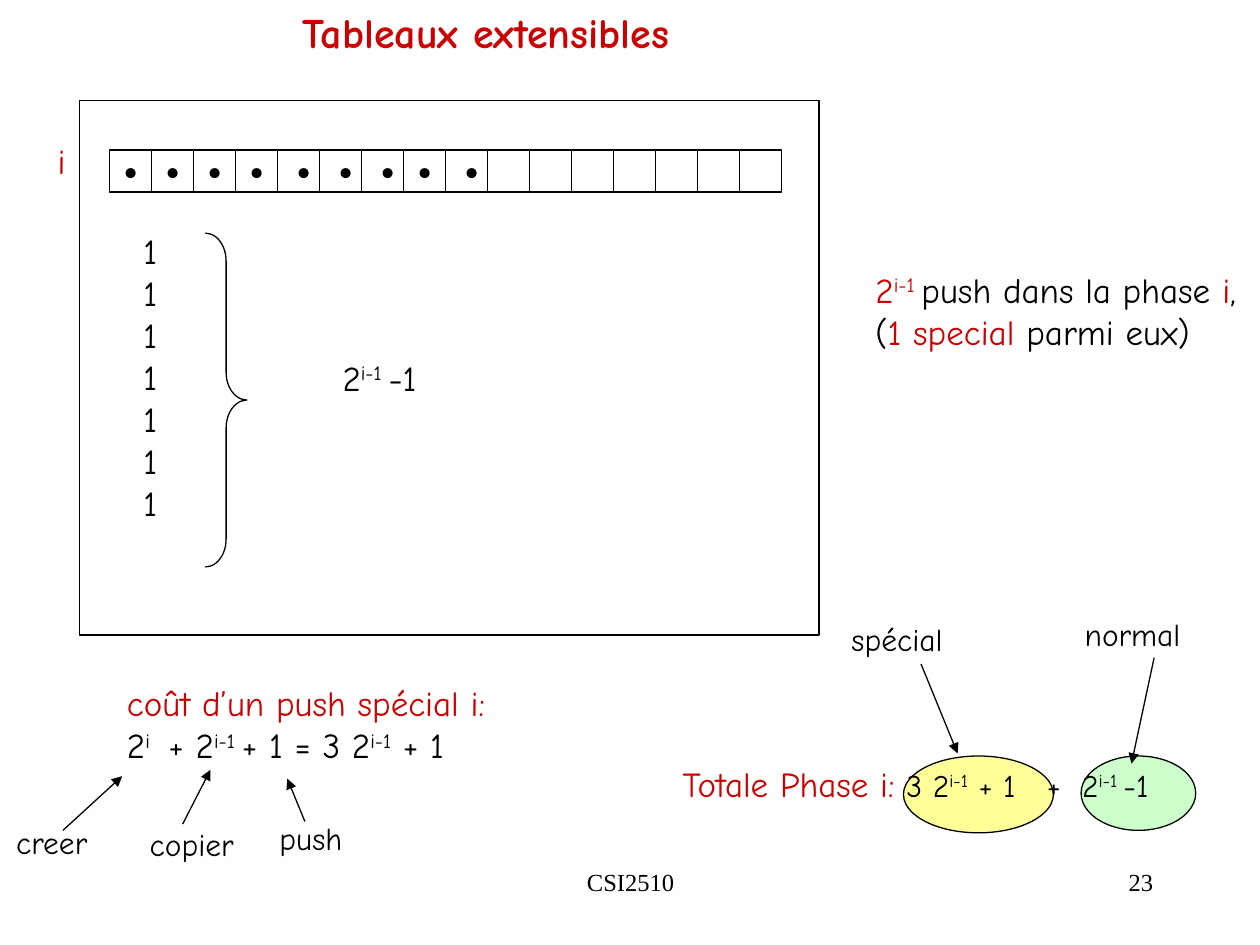
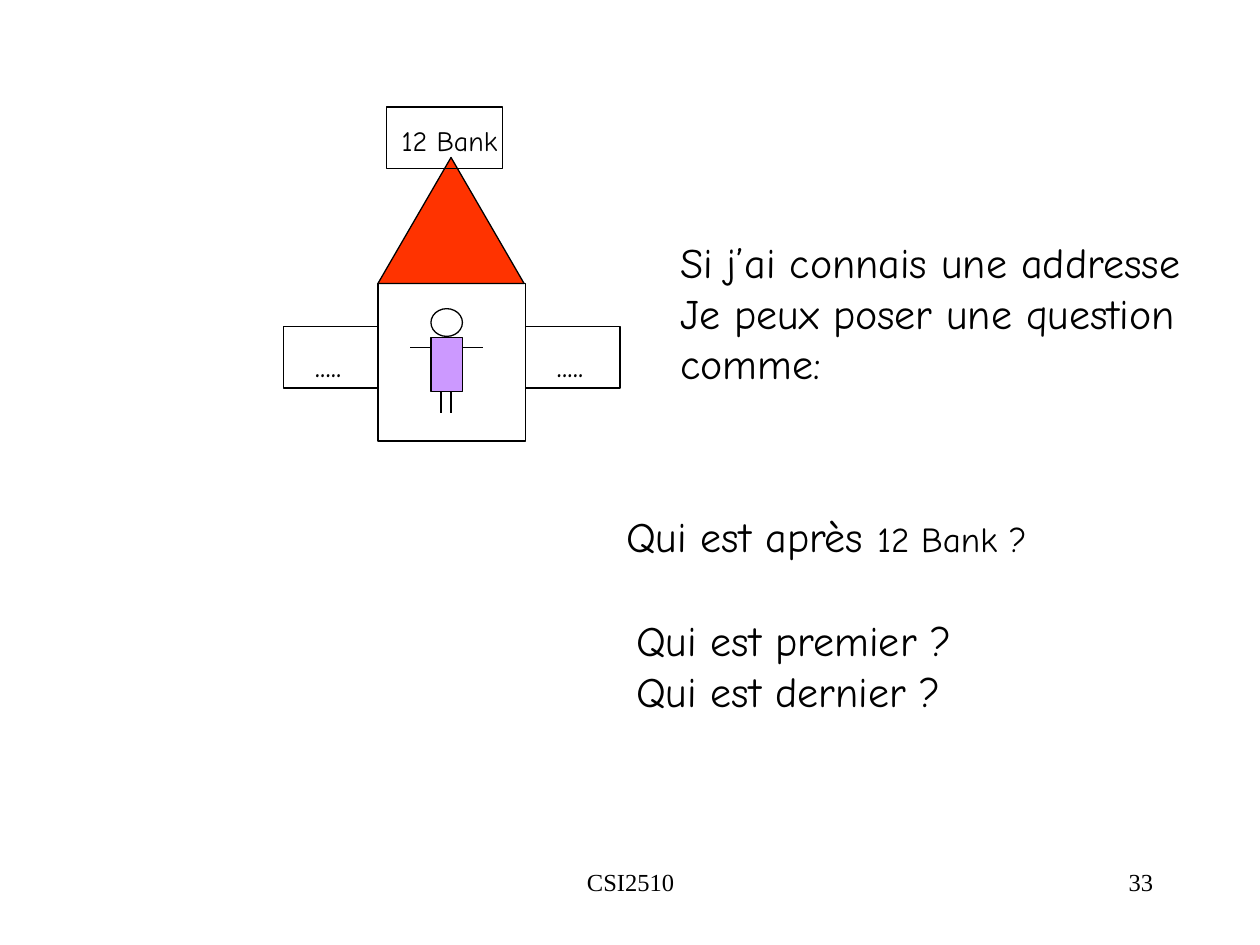
from dataclasses import dataclass
from typing import Optional

from lxml import etree
from pptx import Presentation
from pptx import util as u
from pptx.dml import color as colors
from pptx.enum import shapes as kinds
from pptx.enum import text as styles
from pptx.oxml import ns


@dataclass(frozen=True)
class Theme:
    black: str = "000000"
    white: str = "FFFFFF"
    red: str = "CC0000"
    yellow: str = "FFFF99"
    green: str = "CCFFCC"
    roof: str = "FF3300"
    purple: str = "CC99FF"
    body_font: str = "Comic Neue"
    footer_font: str = "Times New Roman"
    title_size: int = 24
    body_size: int = 20
    note_size: int = 18
    sign_size: int = 16
    footer_size: int = 14
    line_width: float = 0.75


THEME = Theme()
KIND = kinds.MSO_SHAPE
ALIGN = styles.PP_ALIGN


@dataclass(frozen=True)
class Part:
    """A stretch of text with its own colour, size or raised position."""
    text: str
    color: Optional[str] = None
    size: Optional[int] = None
    raised: bool = False


def red(words):
    return Part(words, THEME.red)


def power(words, color=None):
    return Part(words, color, raised=True)


def rgb(color):
    return colors.RGBColor.from_string(color)


# ---- Text ----

def style_font(font, size, color, name=THEME.body_font, bold=False):
    font.name = name
    font.size = u.Pt(size)
    font.bold = bold
    font.color.rgb = rgb(color)


def write_line(paragraph, parts, size, color, bold):
    for part in [parts] if isinstance(parts, (str, Part)) else parts:
        part = Part(part) if isinstance(part, str) else part
        run = paragraph.add_run()
        run.text = part.text
        style_font(run.font, part.size or size, part.color or color, bold=bold)
        if part.raised:
            run.font._element.set("baseline", "30000")


def add_label(shapes, at, *lines, size=THEME.body_size, color=THEME.black,
              bold=False, wrap=False):
    """Each line is a string, a Part, or a list of them."""
    label = shapes.add_textbox(*map(u.Inches, at))
    frame = label.text_frame
    frame.word_wrap = wrap
    frame.auto_size = styles.MSO_AUTO_SIZE.SHAPE_TO_FIT_TEXT
    for index, line in enumerate(lines):
        paragraph = frame.add_paragraph() if index else frame.paragraphs[0]
        write_line(paragraph, line, size, color, bold)
    return label


def set_tab_stops(paragraph, stops):
    tabs = etree.SubElement(paragraph._p.get_or_add_pPr(), ns.qn("a:tabLst"))
    for stop in stops:
        etree.SubElement(tabs, ns.qn("a:tab"), pos=str(u.Inches(stop)),
                         algn="l")


def add_footer(slide, number):
    for at, words, align in (
        ((3.42, 6.83, 3.17, 0.5), "CSI2510", ALIGN.CENTER),
        ((7.17, 6.83, 2.08, 0.5), str(number), ALIGN.RIGHT),
    ):
        frame = slide.shapes.add_textbox(*map(u.Inches, at)).text_frame
        frame.word_wrap = True
        frame.text = words
        paragraph = frame.paragraphs[0]
        paragraph.alignment = align
        style_font(paragraph.runs[0].font, THEME.footer_size, THEME.black,
                   THEME.footer_font)


# ---- Shapes and lines ----

def outline(line):
    line.color.rgb = rgb(THEME.black)
    line.width = u.Pt(THEME.line_width)


def add_figure(shapes, kind, at, fill=None):
    figure = shapes.add_shape(kind, *map(u.Inches, at))
    figure.shadow.inherit = False
    outline(figure.line)
    if fill:
        figure.fill.solid()
        figure.fill.fore_color.rgb = rgb(fill)
    else:
        figure.fill.background()
    return figure


def add_line(shapes, start, end, arrow=False):
    connector = shapes.add_connector(kinds.MSO_CONNECTOR.STRAIGHT,
                                     *map(u.Inches, start + end))
    outline(connector.line)
    if arrow:
        etree.SubElement(connector.line._get_or_add_ln(), ns.qn("a:tailEnd"),
                         type="triangle")
    etree.SubElement(connector._element.spPr, ns.qn("a:effectLst"))


def add_pointer(shapes, words, at, start, end):
    """A short note with an arrow to the term it explains."""
    add_label(shapes, at, words, size=THEME.note_size, wrap=True)
    add_line(shapes, start, end, arrow=True)


def add_cell(shapes, index, size=1 / 3):
    """One array slot; the first nine hold a dot, some slightly to the right."""
    cell = add_figure(shapes, KIND.RECTANGLE,
                      (0.87 + index * size, 1.19, size, size), THEME.white)
    if index > 8:
        return
    frame = cell.text_frame
    frame.word_wrap = False
    frame.vertical_anchor = styles.MSO_ANCHOR.MIDDLE
    frame.margin_left = u.Inches(0.08 if index in (4, 5, 6, 8) else 0)
    frame.margin_right = 0
    frame.text = "•"
    dot = frame.paragraphs[0]
    dot.alignment = ALIGN.CENTER
    style_font(dot.runs[0].font, THEME.title_size, THEME.black,
               THEME.footer_font)


# ---- Slides ----

def build_array_slide(slide):
    shapes = slide.shapes
    add_footer(slide, 23)

    # Array of phase i and its ordinary pushes
    add_label(shapes, (2.62, 2.78, 0.79, 0.44), ["2", power("i-1 "), "-1"])
    for index in range(16):
        add_cell(shapes, index)
    add_label(shapes, (1.04, 1.77, 0.31, 2.44), *["1"] * 7)
    brace = add_figure(shapes, KIND.RIGHT_BRACE, (1.63, 1.85, 0.33, 2.65))
    brace.adjustments[0] = 0.67
    add_label(shapes, (0.36, 1.06, 0.33, 0.44), red("i"), wrap=True)
    add_figure(shapes, KIND.RECTANGLE, (0.63, 0.8, 5.87, 4.24))
    add_label(shapes, (6.85, 2.08, 3.06, 0.77),
              [red("2"), power("i-1 ", THEME.red), "push dans la phase ",
               red("i"), ","],
              ["(", red("1 special"), " parmi eux)"])

    # Cost of one special push
    cost = shapes.add_group_shape().shapes
    add_label(cost, (0.91, 5.36, 3.3, 0.77),
              red("coût d’un push spécial i:"),
              ["2", power("i "), " + 2", power("i-1 "), "+ 1 = 3 2",
               power("i-1"), " + 1"], wrap=True)
    add_pointer(cost, "creer", (0.03, 6.48, 1, 0.4), (0.5, 6.59), (0.97, 6.16))
    add_pointer(cost, "copier", (1.09, 6.5, 1, 0.4), (1.45, 6.54), (1.67, 6.11))
    add_pointer(cost, "push", (2.12, 6.45, 1, 0.4), (2.42, 6.52), (2.28, 6.18))

    # Total for the phase
    total = shapes.add_group_shape().shapes
    add_figure(total, KIND.OVAL, (7.17, 6, 1.19, 0.61), THEME.yellow)
    add_figure(total, KIND.OVAL, (8.58, 6, 0.91, 0.59), THEME.green)
    formula = add_label(
        total, (5.32, 6, 4.1, 0.44),
        [Part("Totale Phase i: ", THEME.red, THEME.body_size), "3 2",
         power("i-1"), " + 1\t+\t2", power("i-1 "), "-1"],
        size=THEME.note_size, wrap=True)
    set_tab_stops(formula.text_frame.paragraphs[0], (2.89, 3.17))
    add_pointer(total, "spécial", (6.66, 4.87, 1.1, 0.4),
                (7.31, 5.27), (7.6, 5.98))
    add_pointer(total, "normal", (8.51, 4.83, 1.1, 0.4),
                (9.16, 5.22), (8.98, 6.06))

    add_label(shapes, (2.3, 0, 3.15, 0.5), "Tableaux extensibles",
              size=THEME.title_size, color=THEME.red, bold=True, wrap=True)


def build_address_slide(slide):
    shapes = slide.shapes
    add_footer(slide, 33)

    # House with its roof
    add_figure(shapes, KIND.RECTANGLE, (3, 2.25, 1.17, 1.25))
    add_figure(shapes, KIND.ISOSCELES_TRIANGLE, (3, 1.25, 1.16, 1), THEME.roof)

    # Resident: head, legs, arms, body
    add_figure(shapes, KIND.OVAL, (3.42, 2.45, 0.25, 0.22))
    for leg in (3.5, 3.58):
        add_line(shapes, (leg, 3.1), (leg, 3.28))
    for shoulder, hand in ((3.67, 3.83), (3.42, 3.25)):
        add_line(shapes, (shoulder, 2.76), (hand, 2.76))
    add_figure(shapes, KIND.RECTANGLE, (3.42, 2.68, 0.25, 0.43), THEME.purple)

    # Neighbours and address sign
    for left in (2.25, 4.17):
        add_label(shapes, (left + 0.15, 2.67, 0.41, 0.44), ".....")
        add_figure(shapes, KIND.RECTANGLE, (left, 2.59, 0.75, 0.49))
    add_label(shapes, (3.09, 0.93, 0.96, 0.37), "12 Bank",
              size=THEME.sign_size)
    add_figure(shapes, KIND.RECTANGLE, (3.07, 0.85, 0.92, 0.49))

    # Questions
    add_label(shapes, (4.87, 4, 3.39, 0.5),
              ["Qui est après ", Part("12 Bank ?", size=THEME.body_size)],
              size=THEME.title_size)
    add_label(shapes, (5.3, 1.83, 4.24, 1.3), "Si j’ai connais une addresse",
              "Je peux poser une question", "comme:", size=THEME.title_size)
    add_label(shapes, (4.95, 4.83, 2.71, 0.9), "Qui est premier ?",
              "Qui est dernier ?", size=THEME.title_size)


def main():
    deck = Presentation()
    deck.slide_width, deck.slide_height = u.Inches(10), u.Inches(7.5)
    blank = deck.slide_layouts[6]
    for build in (build_array_slide, build_address_slide):
        build(deck.slides.add_slide(blank))
    deck.save("out.pptx")


if __name__ == "__main__":
    main()
